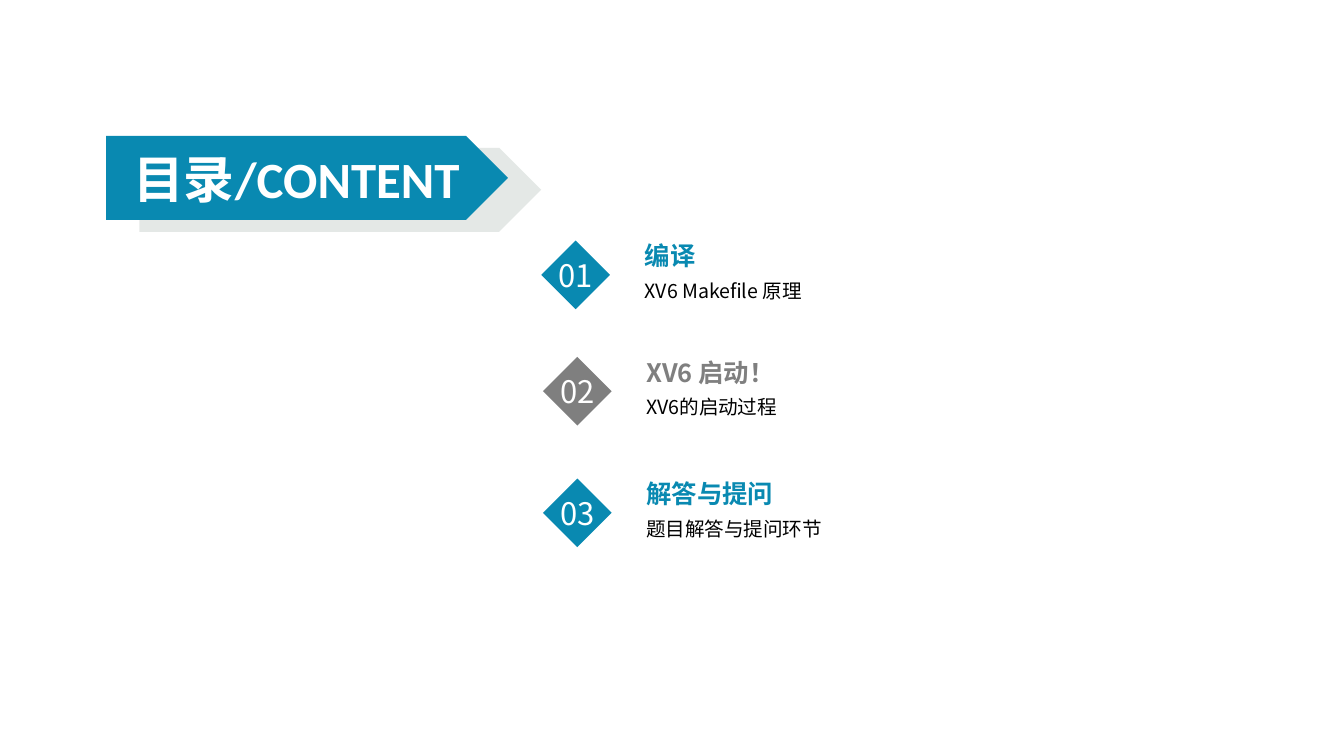
from dataclasses import dataclass

from lxml import etree
from pptx import Presentation
from pptx.dml.color import RGBColor
from pptx.enum.shapes import MSO_SHAPE
from pptx.enum.text import MSO_ANCHOR, MSO_AUTO_SIZE, PP_ALIGN
from pptx.oxml.ns import qn
from pptx.util import Pt

PENTAGON, DIAMOND = MSO_SHAPE.PENTAGON, MSO_SHAPE.DIAMOND
MIDDLE, BOTTOM = MSO_ANCHOR.MIDDLE, MSO_ANCHOR.BOTTOM
LEFT, CENTER = PP_ALIGN.LEFT, PP_ALIGN.CENTER
NO_AUTOFIT = MSO_AUTO_SIZE.NONE
TITLE_ONLY = 5


@dataclass(frozen=True)
class Theme:
    blue: str = "0989B1"
    gray: str = "7F7F7F"
    shade: str = "455F51"
    white: str = "FFFFFF"
    black: str = "000000"
    title_font: str = "Calibri"
    text_font: str = "Noto Sans CJK SC"
    title_size: float = 27.2
    number_size: float = 16.6
    heading_size: float = 13.6
    detail_size: float = 10.5


class ContentsSlide:
    def __init__(self, slide, theme):
        self.slide = slide
        self.theme = theme

    def set_line(self, holder, text, size, color, font=None, bold=False,
                 align=LEFT, anchor=MIDDLE, wrap=True, inset=0):
        """Put one formatted line in a shape; inset is the left margin."""
        frame = holder.text_frame
        frame.text = text
        frame.auto_size = NO_AUTOFIT
        frame.word_wrap = wrap
        frame.vertical_anchor = anchor
        frame.margin_left = Pt(inset)
        frame.margin_right = frame.margin_top = frame.margin_bottom = 0
        line = frame.paragraphs[0]
        line.alignment = align
        for run in line.runs:
            run.font.size = Pt(size)
            run.font.bold = bold
            run.font.color.rgb = RGBColor.from_string(color)
            run.font.name = font or self.theme.text_font
            properties = run._r.get_or_add_rPr()
            east_asian = etree.SubElement(properties, qn("a:ea"))
            east_asian.set("typeface", self.theme.text_font)
        return line

    def block(self, kind, left, top, width, height, color, opacity=100):
        shape = self.slide.shapes.add_shape(
            kind, Pt(left), Pt(top), Pt(width), Pt(height))
        shape.shadow.inherit = False
        shape.fill.solid()
        shape.fill.fore_color.rgb = RGBColor.from_string(color)
        shape.line.fill.background()
        if opacity < 100:
            tint = shape.element.spPr.find(".//" + qn("a:srgbClr"))
            etree.SubElement(tint, qn("a:alpha")).set("val", str(opacity * 1000))
        return shape

    def label(self, text, left, top, width, height, size, color, **style):
        box = self.slide.shapes.add_textbox(
            Pt(left), Pt(top), Pt(width), Pt(height))
        return self.set_line(box, text, size, color, **style)

    def banner(self, text, left, top, width, height):
        theme = self.theme
        self.block(PENTAGON, left + 17.8, top + 6.4, width, height, theme.shade, 14)
        self.block(PENTAGON, left, top, width, height, theme.blue)
        title = self.slide.shapes.title
        title.left, title.top = Pt(left), Pt(top)
        title.width, title.height = Pt(width - height / 4), Pt(height)
        self.set_line(title, text, theme.title_size, theme.white,
                      font=theme.title_font, bold=True, align=CENTER)
        # Bring the title in front of the banner
        title.element.getparent().append(title.element)

    def entry(self, number, heading, detail, left, top, color):
        theme = self.theme
        marker = self.block(DIAMOND, left, top, 36.8, 36.8, color)
        self.set_line(marker, number, theme.number_size, theme.white,
                      align=CENTER, wrap=False)
        text_left = left + 27.4
        self.label(heading, text_left, top + 1.8, 234, 14.4, theme.heading_size,
                   color, bold=True, anchor=BOTTOM, inset=28)
        line = self.label(detail, text_left, top + 16.2, 234, 18.8,
                          theme.detail_size, theme.black, inset=28)
        line.line_spacing = 1.2


def main():
    deck = Presentation()
    deck.slide_width, deck.slide_height = Pt(720), Pt(405)
    theme = Theme()
    contents = ContentsSlide(
        deck.slides.add_slide(deck.slide_layouts[TITLE_ONLY]), theme)
    contents.banner("目录/CONTENT", 56.8, 72.8, 215.3, 45)
    entries = [
        ("编译", "XV6 Makefile 原理", 290, 128.9, theme.blue),
        ("XV6 启动！", "XV6的启动过程", 290.9, 191.2, theme.gray),
        ("解答与提问", "题目解答与提问环节", 290.9, 256.4, theme.blue),
    ]
    for index, entry in enumerate(entries, start=1):
        contents.entry(f"{index:02}", *entry)
    deck.save("out.pptx")


if __name__ == "__main__":
    main()
